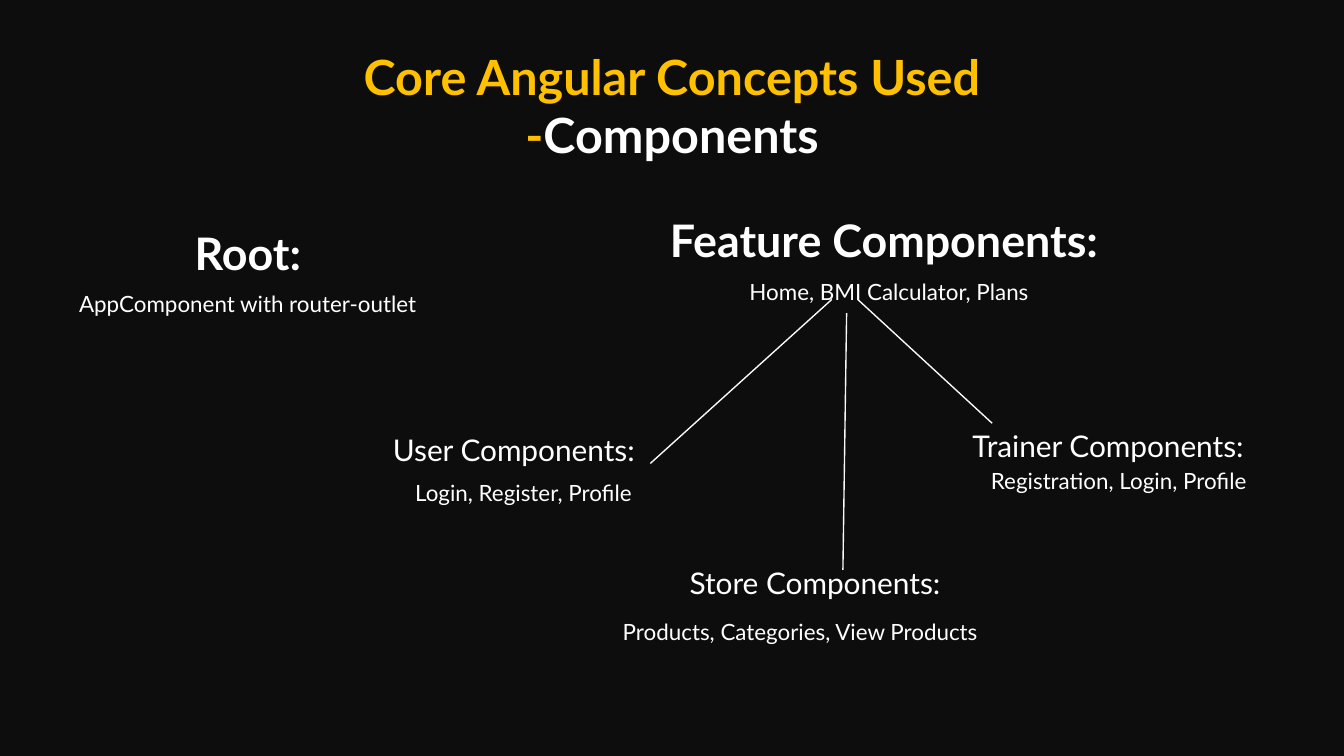
from dataclasses import dataclass

import pptx
import pptx.dml.color
import pptx.enum.shapes
import pptx.enum.text
import pptx.oxml.ns
import pptx.oxml.xmlchemy
import pptx.util
from pptx.util import Cm


@dataclass(frozen=True)
class Theme:
    font: str = "Lato"
    background: str = "0D0D0D"
    text: str = "FFFFFF"
    accent: str = "FFC000"
    line: str = "F9F9F9"
    title_size: float = 26
    section_size: float = 24
    group_size: float = 16
    detail_size: float = 12
    line_width: float = 0.75


@dataclass(frozen=True)
class ComponentGroup:
    """A heading and its detail text; positions are (left, top) in cm."""
    heading: str
    heading_at: tuple[float, float]
    detail: str
    detail_at: tuple[float, float]
    is_section: bool = False


@dataclass(frozen=True)
class Branch:
    """A tree line; its ends are (x, y) in cm."""
    start: tuple[float, float]
    end: tuple[float, float]


THEME = Theme()
BOX_WIDTH = 10.85
HEADING_HEIGHT = 1.19
DETAIL_HEIGHT = 2.06
INSET = 0.25

GROUPS = [
    ComponentGroup("Root:", (-0.74, 4.34),
                   "AppComponent with router-outlet", (-0.74, 5.23), True),
    ComponentGroup("Feature Components:", (11.28, 4.09),
                   "Home, BMI Calculator, Plans", (11.38, 5.0), True),
    ComponentGroup("User Components:", (4.29, 7.9),
                   "Login, Register, Profile", (4.47, 8.81)),
    ComponentGroup("Trainer Components:", (15.52, 7.82),
                   "Registration, Login, Profile", (15.72, 8.59)),
    ComponentGroup("Store Components:", (9.98, 10.41),
                   "Products, Categories, View Products", (9.7, 11.43)),
]

BRANCHES = [
    Branch((15.72, 5.66), (12.29, 8.76)),
    Branch((16.0, 5.92), (15.93, 10.77)),
    Branch((16.21, 5.66), (18.75, 8.0)),
]


def rgb(value: str) -> pptx.dml.color.RGBColor:
    return pptx.dml.color.RGBColor.from_string(value)


def format_frame(frame, anchor) -> None:
    frame.word_wrap = True
    frame.auto_size = pptx.enum.text.MSO_AUTO_SIZE.NONE
    frame.vertical_anchor = anchor
    frame.margin_left = frame.margin_right = Cm(INSET)
    frame.margin_top = frame.margin_bottom = Cm(INSET)


def format_paragraph(paragraph, size: float, bold: bool) -> None:
    paragraph.alignment = pptx.enum.text.PP_ALIGN.CENTER
    paragraph.font.name = THEME.font
    paragraph.font.size = pptx.util.Pt(size)
    paragraph.font.bold = bold


def add_title(page) -> None:
    title = page.shapes.title
    title.left, title.top = Cm(0.64), Cm(0.64)
    title.width, title.height = Cm(24.13), Cm(1.6)
    format_frame(title.text_frame, pptx.enum.text.MSO_ANCHOR.TOP)
    paragraph = title.text_frame.paragraphs[0]
    format_paragraph(paragraph, THEME.title_size, True)
    for text, color in (("Core Angular Concepts Used", THEME.accent),
                        ("-", THEME.accent), ("Components", THEME.text)):
        if text == "-":
            paragraph.add_line_break()
        span = paragraph.add_run()
        span.text = text
        span.font.color.rgb = rgb(color)


def add_text(page, text: str, at: tuple[float, float], height: float,
             size: float, anchor, bold: bool = False) -> None:
    left, top = at
    box = page.shapes.add_textbox(Cm(left), Cm(top), Cm(BOX_WIDTH), Cm(height))
    format_frame(box.text_frame, anchor)
    paragraph = box.text_frame.paragraphs[0]
    paragraph.text = text
    format_paragraph(paragraph, size, bold)
    paragraph.font.color.rgb = rgb(THEME.text)


def add_group(page, group: ComponentGroup) -> None:
    size = THEME.section_size if group.is_section else THEME.group_size
    add_text(page, group.heading, group.heading_at, HEADING_HEIGHT, size,
             pptx.enum.text.MSO_ANCHOR.BOTTOM, group.is_section)
    add_text(page, group.detail, group.detail_at, DETAIL_HEIGHT,
             THEME.detail_size, pptx.enum.text.MSO_ANCHOR.TOP)


def add_branch(page, branch: Branch) -> None:
    ends = [Cm(value) for value in branch.start + branch.end]
    line = page.shapes.add_connector(
        pptx.enum.shapes.MSO_CONNECTOR.STRAIGHT, *ends)
    line.line.color.rgb = rgb(THEME.line)
    line.line.width = pptx.util.Pt(THEME.line_width)
    # An empty effect list removes the default shadow
    properties = line._element.spPr
    properties.append(properties.makeelement(
        pptx.oxml.ns.qn("a:effectLst"), {}))


def main() -> None:
    deck = pptx.Presentation()
    deck.slide_width, deck.slide_height = Cm(25.4), Cm(14.29)

    # Page and background
    page = deck.slides.add_slide(deck.slide_layouts.get_by_name("Title Only"))
    page.background.fill.solid()
    page.background.fill.fore_color.rgb = rgb(THEME.background)

    # Title, component groups and the lines of the tree
    add_title(page)
    for group in GROUPS:
        add_group(page, group)
    for branch in BRANCHES:
        add_branch(page, branch)

    deck.save("out.pptx")


if __name__ == "__main__":
    main()
